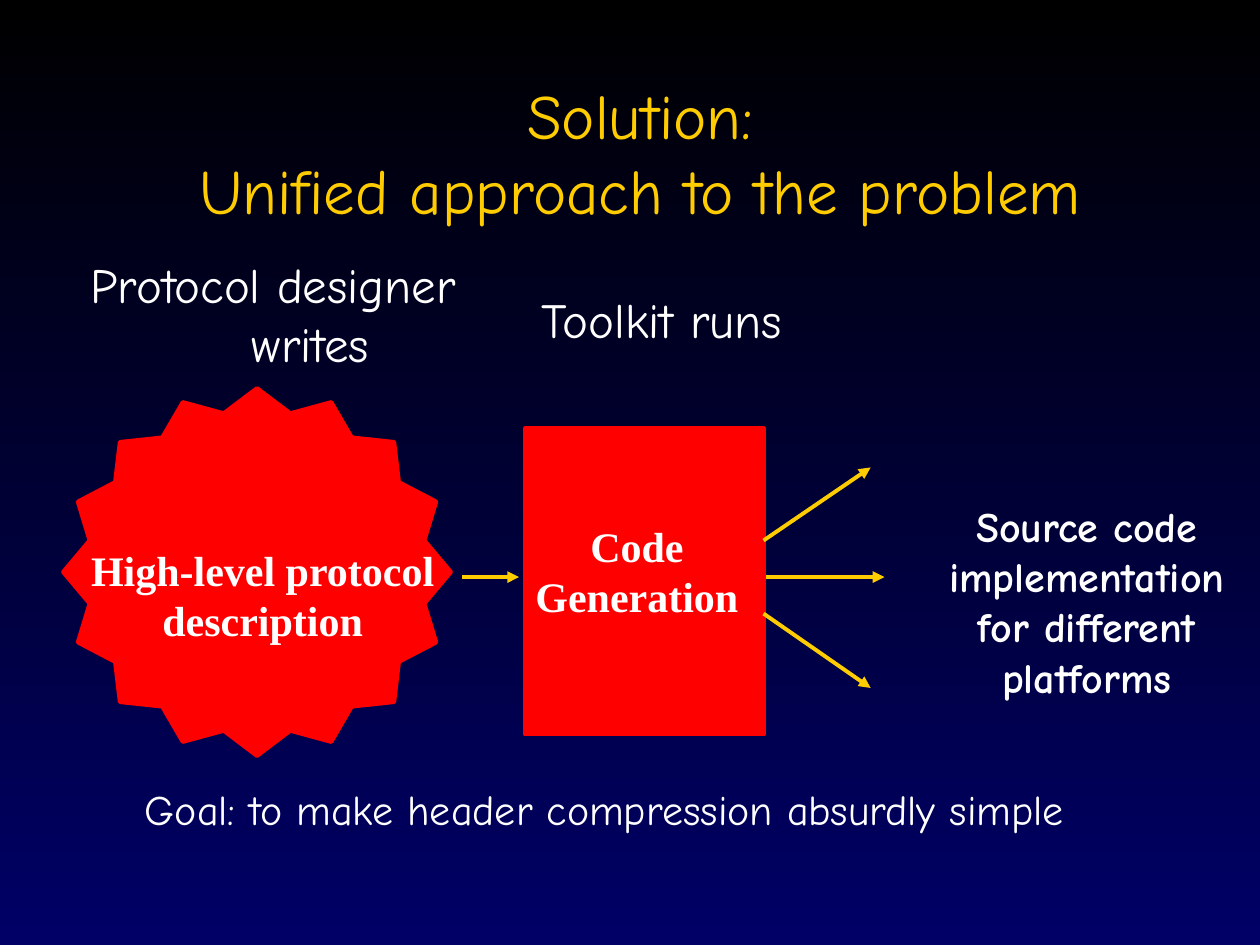
"""Build the slide on a unified approach to header compression."""
from dataclasses import dataclass
from math import cos, pi, sin

from lxml import etree
from pptx import Presentation
from pptx import util as u
from pptx.dml.color import RGBColor
from pptx.enum import shapes, text
from pptx.oxml.ns import qn

COMIC, TIMES = "Comic Neue", "Times New Roman"
WHITE, GOLD, RED = "FFFFFF", "FFCC00", "FF0000"
BLACK, NAVY = "000000", "000066"
LINE_WIDTH = u.Pt(2.25)


@dataclass
class Label:
    lines: list[str]
    left: float
    top: float
    width: float
    height: float
    size: float = 24
    font: str = COMIC
    bold: bool = False
    centred: bool = False
    wrap: bool = False
    last_indent: float = 0


@dataclass
class Arrow:
    x1: float
    y1: float
    x2: float
    y2: float


LABELS = [
    Label(["Source code implementation for different platforms"],
          7.25, 3.92, 2.75, 1.7, bold=True, centred=True, wrap=True),
    Label(["High-level protocol description"],
          0.42, 4.27, 3.33, 0.9, font=TIMES, bold=True, centred=True, wrap=True),
    Label(["Protocol designer", "writes"], 0.62, 1.97, 3.25, 1.04, size=28, last_indent=1.28),
    Label(["Code Generation"],
          4.03, 4.08, 2.05, 0.9, font=TIMES, bold=True, centred=True, wrap=True),
    Label(["Toolkit runs"], 4.2, 2.25, 2.14, 0.57, size=28),
    Label(["Goal: to make header compression absurdly simple"], 1.05, 6.17, 7.61, 0.5),
]

ARROWS = [
    Arrow(3.67, 4.58, 4.12, 4.58),
    Arrow(6.06, 4.29, 6.91, 3.71),
    Arrow(6.08, 4.58, 7.02, 4.58),
    Arrow(6.06, 4.87, 6.91, 5.46),
]


def rgb(value: str) -> RGBColor:
    """Turn a hex string into a colour."""
    return RGBColor.from_string(value)


def paint(sp, colour: str) -> None:
    """Give a shape one colour for fill and outline."""
    sp.shadow.inherit = False
    sp.fill.solid()
    sp.fill.fore_color.rgb = rgb(colour)
    sp.line.color.rgb = rgb(colour)
    sp.line.width = LINE_WIDTH


def style(tf, font: str, size: float, colour: str, bold: bool = False) -> None:
    """Format every run of a text frame."""
    for p in tf.paragraphs:
        for r in p.runs:
            r.font.name = font
            r.font.size = u.Pt(size)
            r.font.bold = bold
            r.font.color.rgb = rgb(colour)


def add_title(s, wording: str) -> None:
    """Fill and place the title placeholder."""
    sp = s.shapes.title
    sp.left, sp.top, sp.width, sp.height = map(u.Inches, (0.83, 0.58, 8.5, 1.25))
    tf = sp.text_frame
    tf.text = wording
    tf.auto_size = text.MSO_AUTO_SIZE.NONE
    tf.vertical_anchor = text.MSO_ANCHOR.MIDDLE
    tf.paragraphs[0].alignment = text.PP_ALIGN.CENTER
    style(tf, COMIC, 36, GOLD)


def add_label(s, label: Label) -> None:
    """Add a white text box."""
    sp = s.shapes.add_textbox(*map(u.Inches, (label.left, label.top, label.width, label.height)))
    tf = sp.text_frame
    tf.text = "\n".join(label.lines)
    tf.word_wrap = label.wrap
    tf.auto_size = text.MSO_AUTO_SIZE.SHAPE_TO_FIT_TEXT
    for p in tf.paragraphs:
        p.alignment = text.PP_ALIGN.CENTER if label.centred else text.PP_ALIGN.LEFT
    if label.last_indent:
        pPr = tf.paragraphs[-1]._p.get_or_add_pPr()
        pPr.set("marL", str(u.Inches(label.last_indent)))
    style(tf, label.font, label.size, WHITE, label.bold)


def add_arrow(s, arrow: Arrow) -> None:
    """Add a gold line with a triangle at its end."""
    ends = map(u.Inches, (arrow.x1, arrow.y1, arrow.x2, arrow.y2))
    sp = s.shapes.add_connector(shapes.MSO_CONNECTOR.STRAIGHT, *ends)
    sp.line.color.rgb = rgb(GOLD)
    sp.line.width = LINE_WIDTH
    etree.SubElement(sp.line._get_or_add_ln(), qn("a:tailEnd"), type="triangle")
    etree.SubElement(sp._element.spPr, qn("a:effectLst"))


def add_burst(s, cx: float, cy: float, rx: float, ry: float, points: int, inner: float) -> None:
    """Add a red star whose inner corners lie at a share of the radius."""
    corners = []
    for i in range(2 * points):
        angle = pi * i / points
        share = inner if i % 2 else 1
        corners.append((u.Inches(cx - rx * share * cos(angle)),
                        u.Inches(cy + ry * share * sin(angle))))
    builder = s.shapes.build_freeform(*corners[0])
    builder.add_line_segments(corners[1:], close=True)
    paint(builder.convert_to_shape(), RED)


def add_background(s) -> None:
    """Fade the background from black down to navy."""
    fill = s.background.fill
    fill.gradient()
    fill.gradient_angle = 270
    for stop, colour, position in zip(fill.gradient_stops, (BLACK, NAVY), (0, 1)):
        stop.color.rgb = rgb(colour)
        stop.position = position


def main() -> None:
    """Build and save the presentation."""
    prs = Presentation()
    prs.slide_width, prs.slide_height = u.Inches(10), u.Inches(7.5)
    s = prs.slides.add_slide(prs.slide_layouts[5])
    add_background(s)
    add_title(s, "Solution:\vUnified approach to the problem")
    add_burst(s, 2.04, 4.54, 1.54, 1.46, points=16, inner=0.88)
    box = s.shapes.add_shape(shapes.MSO_SHAPE.RECTANGLE,
                             *map(u.Inches, (4.17, 3.4, 1.89, 2.43)))
    paint(box, RED)
    for arrow in ARROWS:
        add_arrow(s, arrow)
    for label in LABELS:
        add_label(s, label)
    prs.save("out.pptx")


if __name__ == "__main__":
    main()
